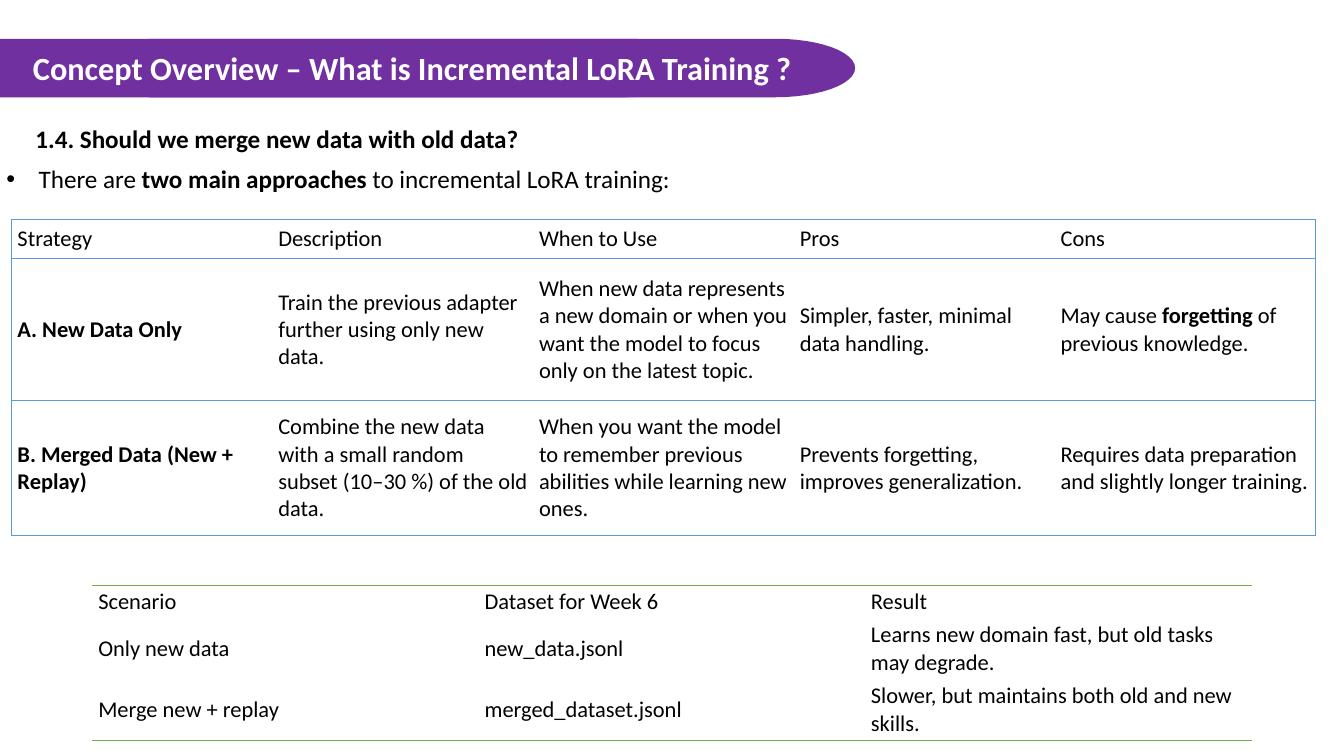
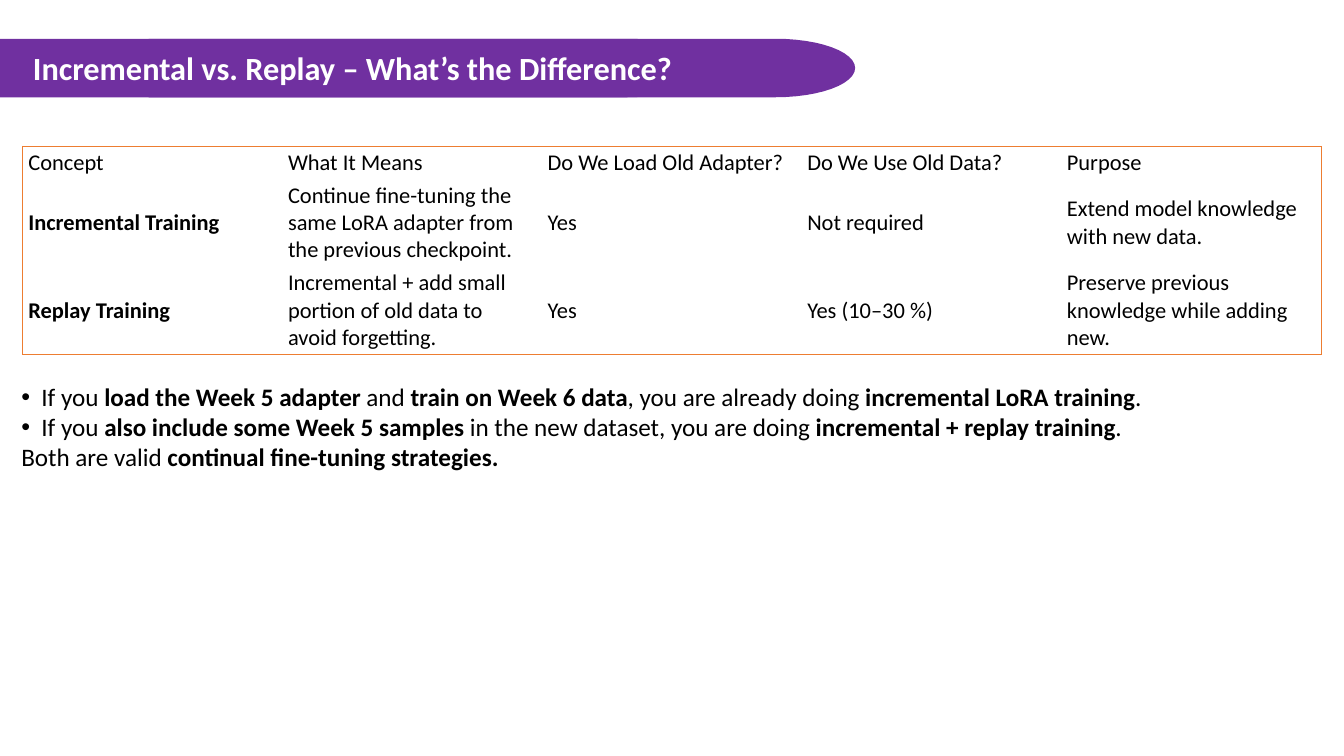
from math import cos, pi, sin

from lxml.etree import SubElement
from pptx import Presentation
from pptx.dml.color import RGBColor
from pptx.enum.text import MSO_ANCHOR, MSO_AUTO_SIZE
from pptx.oxml import parse_xml
from pptx.oxml.ns import nsdecls, qn
from pptx.util import Inches, Pt

PURPLE = RGBColor(0x70, 0x30, 0xA0)
BLUE = RGBColor(0x5B, 0x9B, 0xD5)
GREEN = RGBColor(0x70, 0xAD, 0x47)
ORANGE = RGBColor(0xED, 0x7D, 0x31)
WHITE = RGBColor(0xFF, 0xFF, 0xFF)
BLACK = RGBColor(0x00, 0x00, 0x00)

FONT = "Calibri"
TITLE_SIZE, BODY_SIZE, TABLE_SIZE = 36, 28, 25


class SlideMaker:
    """Holds the style and the current slide; lengths are percent of the slide."""

    def __init__(self):
        self.deck = Presentation()
        self.deck.slide_width = Inches(20.79)
        self.deck.slide_height = Inches(11.69)
        self.slide = None

    def across(self, share):
        return round(self.deck.slide_width * share / 100)

    def down(self, share):
        return round(self.deck.slide_height * share / 100)

    def frame(self, left, top, width, height):
        return self.across(left), self.down(top), self.across(width), self.down(height)

    def new_slide(self, title):
        self.slide = self.deck.slides.add_slide(self.deck.slide_layouts[6])
        for left in (0, 11.06):
            self.band(left, 5.13, 52.57, 7.74, 5.92)
        text_frame = self.text_box(2.45, 6.33, 57.58, 5.3, [f"**{title}**"],
                                   size=TITLE_SIZE, color=WHITE)
        text_frame.margin_left = text_frame.margin_right = 0
        text_frame.margin_top, text_frame.margin_bottom = Inches(0.01), 0
        text_frame.paragraphs[0].space_before = Pt(1)

    def band(self, left, top, width, height, cap):
        """A bar whose right end is half an ellipse, cap wide."""
        x, y, w, h = self.frame(left, top, width, height)
        radius_x, radius_y = self.across(cap), h / 2
        steps = 24
        angles = [pi * step / steps - pi / 2 for step in range(steps + 1)]
        curve = [(round(x + w - radius_x + radius_x * cos(angle)),
                  round(y + radius_y + radius_y * sin(angle))) for angle in angles]
        builder = self.slide.shapes.build_freeform(x, y)
        builder.add_line_segments(curve + [(x, y + h)], close=True)
        shape = builder.convert_to_shape()
        shape.fill.solid()
        shape.fill.fore_color.rgb = PURPLE
        shape.line.fill.background()
        shape.shadow.inherit = False

    def add_spans(self, para, text, size, color):
        """Add the text as runs; every part between double asterisks is bold."""
        for index, part in enumerate(text.split("**")):
            if part:
                span = para.add_run()
                span.text = part
                span.font.name = FONT
                span.font.size = Pt(size)
                span.font.bold = index % 2 == 1
                span.font.color.rgb = color

    def bullet(self, para, indent):
        properties = para._p.get_or_add_pPr()
        properties.set("marL", str(self.across(indent)))
        properties.set("indent", str(-self.across(indent)))
        SubElement(properties, qn("a:buFont")).set("typeface", "Arial")
        SubElement(properties, qn("a:buChar")).set("char", "•")

    def text_box(self, left, top, width, height, lines, bullets=0, indent=0,
                 size=BODY_SIZE, color=BLACK):
        """Stack the lines; the first few, as many as bullets says, get a bullet."""
        box = self.slide.shapes.add_textbox(*self.frame(left, top, width, height))
        text_frame = box.text_frame
        text_frame.word_wrap = True
        text_frame.auto_size = MSO_AUTO_SIZE.SHAPE_TO_FIT_TEXT
        for index, line in enumerate(lines):
            para = text_frame.paragraphs[0] if index == 0 else text_frame.add_paragraph()
            self.add_spans(para, line, size, color)
            if index < bullets:
                self.bullet(para, indent)
        return text_frame

    def borders(self, cell, color, weight, drawn):
        """Draw the named sides (L, R, T, B) and hide the others."""
        properties = cell._tc.get_or_add_tcPr()
        for index, side in enumerate("LRTB"):
            paint = (f'<a:solidFill><a:srgbClr val="{color}"/></a:solidFill>'
                     if side in drawn else "<a:noFill/>")
            properties.insert(index, parse_xml(
                f'<a:ln{side} {nsdecls("a")} w="{Pt(weight)}">{paint}</a:ln{side}>'))

    def table(self, left, top, width, heights, rows, color, weight=1,
              sides=True, inner_lines=False, fill=None):
        shape = self.slide.shapes.add_table(
            len(rows), len(rows[0]), *self.frame(left, top, width, sum(heights)))
        table = shape.table
        table.first_row = table.horz_banding = False
        last_row, last_column = len(rows) - 1, len(rows[0]) - 1
        for column in table.columns:
            column.width = self.across(width / len(rows[0]))
        for r, (texts, height) in enumerate(zip(rows, heights)):
            table.rows[r].height = self.down(height)
            for c, text in enumerate(texts):
                cell = table.cell(r, c)
                cell.vertical_anchor = MSO_ANCHOR.MIDDLE
                cell.margin_left = cell.margin_right = Inches(0.09)
                cell.margin_top = cell.margin_bottom = Inches(0.04)
                self.add_spans(cell.text_frame.paragraphs[0], text, TABLE_SIZE, BLACK)
                if fill is None:
                    cell.fill.background()
                else:
                    cell.fill.solid()
                    cell.fill.fore_color.rgb = fill
                rules = {"L": sides and c == 0, "R": sides and c == last_column,
                         "T": inner_lines or r == 0, "B": inner_lines or r == last_row}
                self.borders(cell, color, weight,
                             [side for side, shown in rules.items() if shown])


def merge_slide(maker):
    maker.new_slide("Concept Overview – What is Incremental LoRA Training ?")
    maker.text_box(2.16, 15.83, 95.72, 4.88,
                   ["**1.4. Should we merge new data with old data?**"])
    maker.text_box(0, 21.21, 74.8, 4.88,
                   ["There are **two main approaches** to incremental LoRA training:"],
                   bullets=1, indent=2.4)

    # Strategies
    maker.table(0.87, 29, 97.02, [5.22, 18.8, 17.8], [
        ["Strategy", "Description", "When to Use", "Pros", "Cons"],
        ["**A. New Data Only**",
         "Train the previous adapter further using only new data.",
         "When new data represents a new domain or when you want the model "
         "to focus only on the latest topic.",
         "Simpler, faster, minimal data handling.",
         "May cause **forgetting** of previous knowledge."],
        ["**B. Merged Data (New + Replay)**",
         "Combine the new data with a small random subset (10–30 %) of the old data.",
         "When you want the model to remember previous abilities while learning new ones.",
         "Prevents forgetting, improves generalization.",
         "Requires data preparation and slightly longer training."],
    ], BLUE, inner_lines=True, fill=WHITE)

    # Scenarios
    maker.table(6.88, 77.42, 86.24, [4.4, 8.04, 8.04], [
        ["Scenario", "Dataset for Week 6", "Result"],
        ["Only new data", "new_data.jsonl",
         "Learns new domain fast, but old tasks may degrade."],
        ["Merge new + replay", "merged_dataset.jsonl",
         "Slower, but maintains both old and new skills."],
    ], GREEN, sides=False)


def replay_slide(maker):
    maker.new_slide("Incremental vs. Replay – What’s the Difference?")

    # Concepts
    maker.table(1.68, 19.33, 96.59, [4.36, 11.59, 11.59], [
        ["Concept", "What It Means", "Do We Load Old Adapter?",
         "Do We Use Old Data?", "Purpose"],
        ["**Incremental Training**",
         "Continue fine-tuning the same LoRA adapter from the previous checkpoint.",
         "Yes", "Not required", "Extend model knowledge with new data."],
        ["**Replay Training**",
         "Incremental + add small portion of old data to avoid forgetting.",
         "Yes", "Yes (10–30 %)", "Preserve previous knowledge while adding new."],
    ], ORANGE, weight=0.5)

    # Conclusions
    maker.text_box(1.11, 50.04, 95.24, 12.92, [
        "If you **load the Week 5 adapter** and **train on Week 6 data**, "
        "you are already doing **incremental LoRA training**.",
        "If you **also include some Week 5 samples** in the new dataset, "
        "you are doing **incremental + replay training**.",
        "Both are valid **continual fine-tuning strategies.**",
    ], bullets=2, indent=1.5)


def main():
    maker = SlideMaker()
    merge_slide(maker)
    replay_slide(maker)
    maker.deck.save("out.pptx")


if __name__ == "__main__":
    main()
